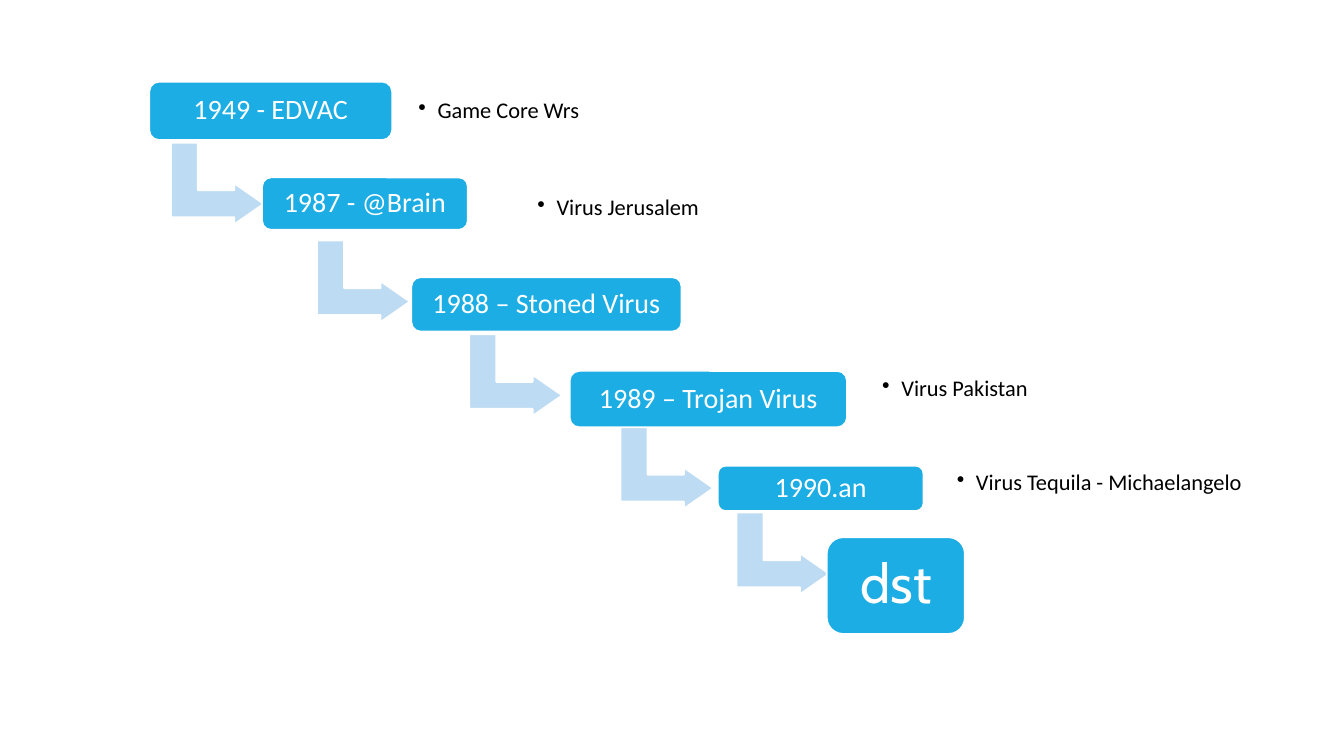
from dataclasses import dataclass

from lxml import etree
from pptx import Presentation
from pptx import util as u
from pptx.dml.color import RGBColor
from pptx.enum import shapes, text
from pptx.oxml.ns import qn


@dataclass(frozen=True)
class Theme:
    step: str = "1CADE4"
    arrow: str = "BDDBF2"
    light: str = "FFFFFF"
    dark: str = "000000"
    font: str = "Calibri"
    final_font: str = "Cabin"
    step_size: int = 20
    final_size: int = 39
    note_size: int = 16
    outline: float = 1.25


THEME = Theme()
CELL = 0.1  # side of a grid cell in inches
ARROW_SIZE = (8.1, 9.2)
NOTE_HEIGHT = 7.7

# Label, and box as column, row, columns wide, rows high
STEPS = [
    ("1949 - EDVAC", (14.8, 8.1, 24.1, 5.8)),
    ("1987 - @Brain", (26, 17.6, 20.4, 5.2)),
    ("1988 – Stoned Virus", (40.8, 27.5, 26.8, 5.4)),
    ("1989 – Trojan Virus", (56.5, 36.8, 27.5, 5.6)),
    ("1990.an", (71.2, 46.2, 20.4, 4.5)),
]
FINAL_STEP = ("dst", (82, 53.3, 13.7, 9.6))

# Column and row of the arrow that leaves each step
ARROWS = [(17.5, 13.6), (32, 23.3), (47.1, 32.6), (62.1, 41.8), (73.6, 50.3)]

# Label, column, row, columns wide
NOTES = [
    ("Game Core Wrs", 40.8, 7.2, 25.8),
    ("Virus Jerusalem", 52.6, 16.8, 24.2),
    ("Virus Pakistan", 86.8, 34.8, 27.7),
    ("Virus Tequila - Michaelangelo", 94.2, 44.1, 30.6),
]


def grid(*cells):
    return [u.Inches(cell * CELL) for cell in cells]


def write(shape, words, *, font=THEME.font, size, color, inset,
          align=text.PP_ALIGN.CENTER):
    frame = shape.text_frame
    frame.word_wrap = True
    frame.vertical_anchor = text.MSO_ANCHOR.MIDDLE
    frame.margin_left = frame.margin_right = u.Inches(inset)
    frame.margin_top = frame.margin_bottom = u.Inches(inset)
    paragraph = frame.paragraphs[0]
    paragraph.alignment = align
    paragraph.line_spacing = 0.9
    run = paragraph.add_run()
    run.text = words
    run.font.name = font
    run.font.size = u.Pt(size)
    run.font.color.rgb = RGBColor.from_string(color)
    return paragraph


def add_filled(slide, kind, box, color, adjustments):
    shape = slide.shapes.add_shape(kind, *grid(*box))
    shape.shadow.inherit = False
    shape.fill.solid()
    shape.fill.fore_color.rgb = RGBColor.from_string(color)
    shape.line.color.rgb = RGBColor.from_string(THEME.light)
    shape.line.width = u.Pt(THEME.outline)
    for index, value in enumerate(adjustments):
        shape.adjustments[index] = value
    return shape


def add_step(slide, words, box, **style):
    shape = add_filled(slide, shapes.MSO_SHAPE.ROUNDED_RECTANGLE, box,
                       THEME.step, [0.17])
    write(shape, words, color=THEME.light, **style)


def add_arrow(slide, column, row):
    arrow = add_filled(slide, shapes.MSO_SHAPE.BENT_UP_ARROW,
                       (column, row, *ARROW_SIZE), THEME.arrow,
                       [0.33, 0.25, 0.36])
    arrow.rotation = 90


def add_note(slide, words, column, row, width):
    note = slide.shapes.add_textbox(*grid(column, row, width, NOTE_HEIGHT))
    paragraph = write(note, words, size=THEME.note_size, color=THEME.dark,
                      inset=0.07, align=text.PP_ALIGN.LEFT)
    # Hanging bullet
    properties = paragraph._p.get_or_add_pPr()
    indent = u.Inches(0.19)
    properties.set("marL", str(indent))
    properties.set("indent", str(-indent))
    etree.SubElement(properties, qn("a:buChar")).set("char", "•")


def main():
    presentation = Presentation()
    presentation.slide_width = u.Inches(13.33)
    presentation.slide_height = u.Inches(7.5)
    slide = presentation.slides.add_slide(presentation.slide_layouts[6])

    # Staircase of steps, each with the arrow to the next
    for (words, box), arrow in zip(STEPS, ARROWS):
        add_arrow(slide, *arrow)
        add_step(slide, words, box, size=THEME.step_size, inset=0.1)
    words, box = FINAL_STEP
    add_step(slide, words, box, font=THEME.final_font,
             size=THEME.final_size, inset=0.2)

    # Notes beside the steps
    for note in NOTES:
        add_note(slide, *note)

    presentation.save("out.pptx")


main()
